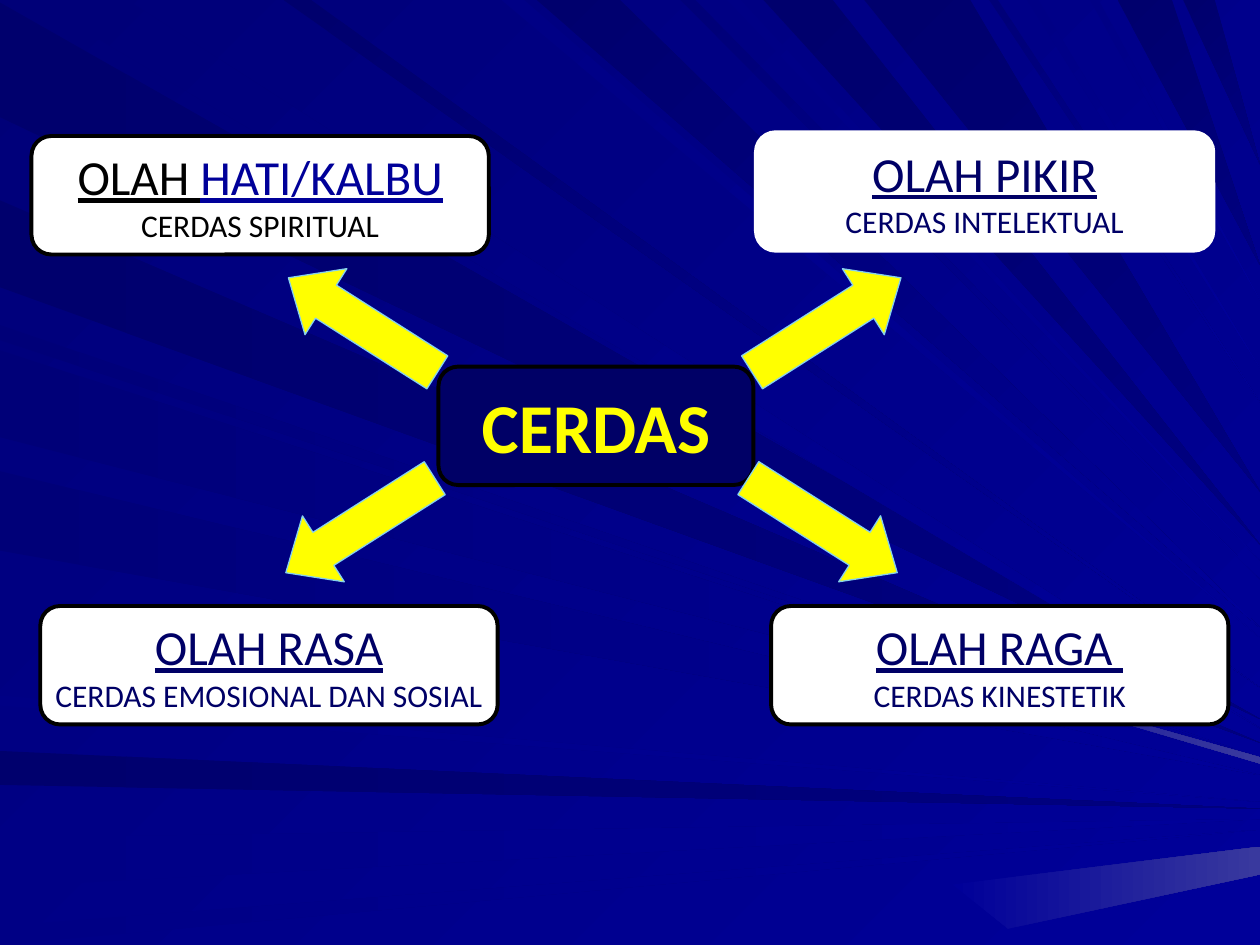
from dataclasses import dataclass

from pptx import Presentation
from pptx.dml.color import RGBColor
from pptx.enum.shapes import MSO_SHAPE
from pptx.enum.text import MSO_ANCHOR, PP_ALIGN
from pptx.util import Inches, Pt

ROUNDED = MSO_SHAPE.ROUNDED_RECTANGLE
LEFT_ARROW = MSO_SHAPE.LEFT_ARROW
RIGHT_ARROW = MSO_SHAPE.RIGHT_ARROW
CENTER = PP_ALIGN.CENTER
MIDDLE = MSO_ANCHOR.MIDDLE


@dataclass(frozen=True)
class Theme:
    font: str = "Calibri"
    white: str = "FFFFFF"
    black: str = "000000"
    navy: str = "000066"
    blue: str = "000099"
    yellow: str = "FFFF00"
    arrow_edge: str = "86D1EC"
    night: str = "000078"
    deep: str = "00006D"
    dusk: str = "000080"
    soft: str = "000085"
    pale: str = "39399E"
    center_size: int = 40
    heading_size: int = 28
    caption_size: int = 18
    box_line: float = 2.25
    arrow_line: float = 0.75


THEME = Theme()
WIDTH, HEIGHT = 10, 7.5

# Rays start on an edge (from, to) and narrow towards a focus beyond the right edge
LEFT_FOCUS = (11.36, 6.48)
LEFT_RAYS = [
    (0.02, 0.93, THEME.deep, THEME.dusk),
    (5.96, 6.23, THEME.deep, THEME.dusk),
    (6.65, 7.04, THEME.soft, THEME.blue),
    (7.35, 7.5, THEME.soft, THEME.blue),
    (2.58, 2.7, THEME.night, THEME.blue),
    (1.59, 2.28, THEME.deep, THEME.dusk),
    (2.78, 3.47, THEME.night, THEME.blue),
    (3.74, 4.37, THEME.night, THEME.blue),
    (5.52, 5.6, THEME.soft, THEME.blue),
]
TOP_FOCUS = (12.9, 7.5)
TOP_RAYS = [
    (0.26, 1.01, THEME.night, THEME.blue),
    (2.25, 2.47, THEME.deep, THEME.blue),
    (3.98, 4.16, THEME.soft, THEME.blue),
    (4.26, 4.92, THEME.deep, THEME.blue),
    (5.4, 5.52, THEME.night, THEME.blue),
    (5.77, 5.88, THEME.soft, THEME.blue),
    (6.06, 6.61, THEME.deep, THEME.dusk),
    (6.86, 7.7, THEME.deep, THEME.dusk),
    (7.85, 7.92, THEME.night, THEME.blue),
    (8.15, 8.24, THEME.soft, THEME.blue),
    (8.65, 8.72, THEME.soft, THEME.blue),
    (8.87, 9.3, THEME.deep, THEME.dusk),
    (9.39, 9.64, THEME.deep, THEME.dusk),
]

# Each polygon: corners, first colour, last colour, clockwise angle
polygons = []
for start, stop, first, last in LEFT_RAYS:
    reach = WIDTH / LEFT_FOCUS[0]
    tip = start + (LEFT_FOCUS[1] - start) * reach
    polygons.append(([(0, start), (WIDTH, tip), (0, stop)], first, last, 0))
for start, stop, first, last in TOP_RAYS:
    reach = (WIDTH - start) / (TOP_FOCUS[0] - start)
    tip = TOP_FOCUS[1] * reach
    polygons.append(([(start, 0), (WIDTH, tip), (stop, 0)], first, last, 45))
for glint in ([(7.56, 7.02), (10, 6.72), (10, 6.94), (8, 7.37)],
              [(6.35, 4.98), (10, 6.01), (10, 6.06)]):
    polygons.append((glint, THEME.blue, THEME.pale, 0))

# Boxes: left, top, width, fill, line, paragraphs of (text, colour) spans
BOXES = [
    (0.25, 1.08, 3.63, THEME.white, THEME.black,
     [[("OLAH ", THEME.black), ("HATI/KALBU", THEME.blue)], [("CERDAS SPIRITUAL", THEME.black)]]),
    (0.32, 4.81, 3.63, THEME.white, THEME.black,
     [[("OLAH RASA", THEME.navy)], [("CERDAS EMOSIONAL DAN SOSIAL", THEME.navy)]]),
    (3.48, 2.91, 2.5, THEME.navy, THEME.black, [[("CERDAS", THEME.yellow)]]),
    (6, 1.05, 3.63, THEME.white, THEME.white,
     [[("OLAH PIKIR", THEME.navy)], [("CERDAS INTELEKTUAL", THEME.navy)]]),
    (6.12, 4.81, 3.63, THEME.white, THEME.black,
     [[("OLAH RAGA ", THEME.navy)], [("CERDAS KINESTETIK", THEME.navy)]]),
]
BOX_HEIGHT = 0.94

# Arrows: preset, left, top, rotation
TILT = 32.4
ARROWS = [
    (LEFT_ARROW, 2.18, 2.27, TILT),
    (RIGHT_ARROW, 5.86, 2.27, -TILT),
    (LEFT_ARROW, 2.16, 3.86, -TILT),
    (RIGHT_ARROW, 5.83, 3.86, TILT),
]


def set_gradient(fill, first, last, clockwise):
    fill.gradient()
    fill.gradient_angle = -clockwise % 360
    for stop, color in zip(fill.gradient_stops, (first, last)):
        stop.color.rgb = RGBColor.from_string(color)


def add_preset(preset, left, top, width, height, fill, line, line_width):
    shape = page.shapes.add_shape(preset, Inches(left), Inches(top), Inches(width), Inches(height))
    shape.shadow.inherit = False
    shape.fill.solid()
    shape.fill.fore_color.rgb = RGBColor.from_string(fill)
    shape.line.color.rgb = RGBColor.from_string(line)
    shape.line.width = Pt(line_width)
    return shape


deck = Presentation()
deck.slide_width, deck.slide_height = Inches(WIDTH), Inches(HEIGHT)
page = deck.slides.add_slide(deck.slide_layouts[6])
set_gradient(page.background.fill, THEME.night, THEME.blue, 45)

for corners, first, last, clockwise in polygons:
    points = [(Inches(x), Inches(y)) for x, y in corners]
    builder = page.shapes.build_freeform(*points[0])
    builder.add_line_segments(points[1:], close=True)
    ray = builder.convert_to_shape()
    ray.shadow.inherit = False
    ray.line.fill.background()
    set_gradient(ray.fill, first, last, clockwise)

for left, top, width, fill, line, paragraphs in BOXES:
    box = add_preset(ROUNDED, left, top, width, BOX_HEIGHT, fill, line, THEME.box_line)
    frame = box.text_frame
    frame.word_wrap = False
    frame.vertical_anchor = MIDDLE
    is_center = len(paragraphs) == 1
    for row, spans in enumerate(paragraphs):
        para = frame.paragraphs[0] if row == 0 else frame.add_paragraph()
        para.alignment = CENTER
        for text, color in spans:
            span = para.add_run()
            span.text = text
            span.font.name = THEME.font
            span.font.color.rgb = RGBColor.from_string(color)
            span.font.bold = is_center
            span.font.underline = row == 0 and not is_center
            if is_center:
                span.font.size = Pt(THEME.center_size)
            else:
                span.font.size = Pt(THEME.heading_size if row == 0 else THEME.caption_size)

for preset, left, top, rotation in ARROWS:
    arrow = add_preset(preset, left, top, 1.4, 0.62, THEME.yellow, THEME.arrow_edge, THEME.arrow_line)
    arrow.adjustments[0] = 0.5
    arrow.adjustments[1] = 0.57
    arrow.rotation = rotation

deck.save("out.pptx")
